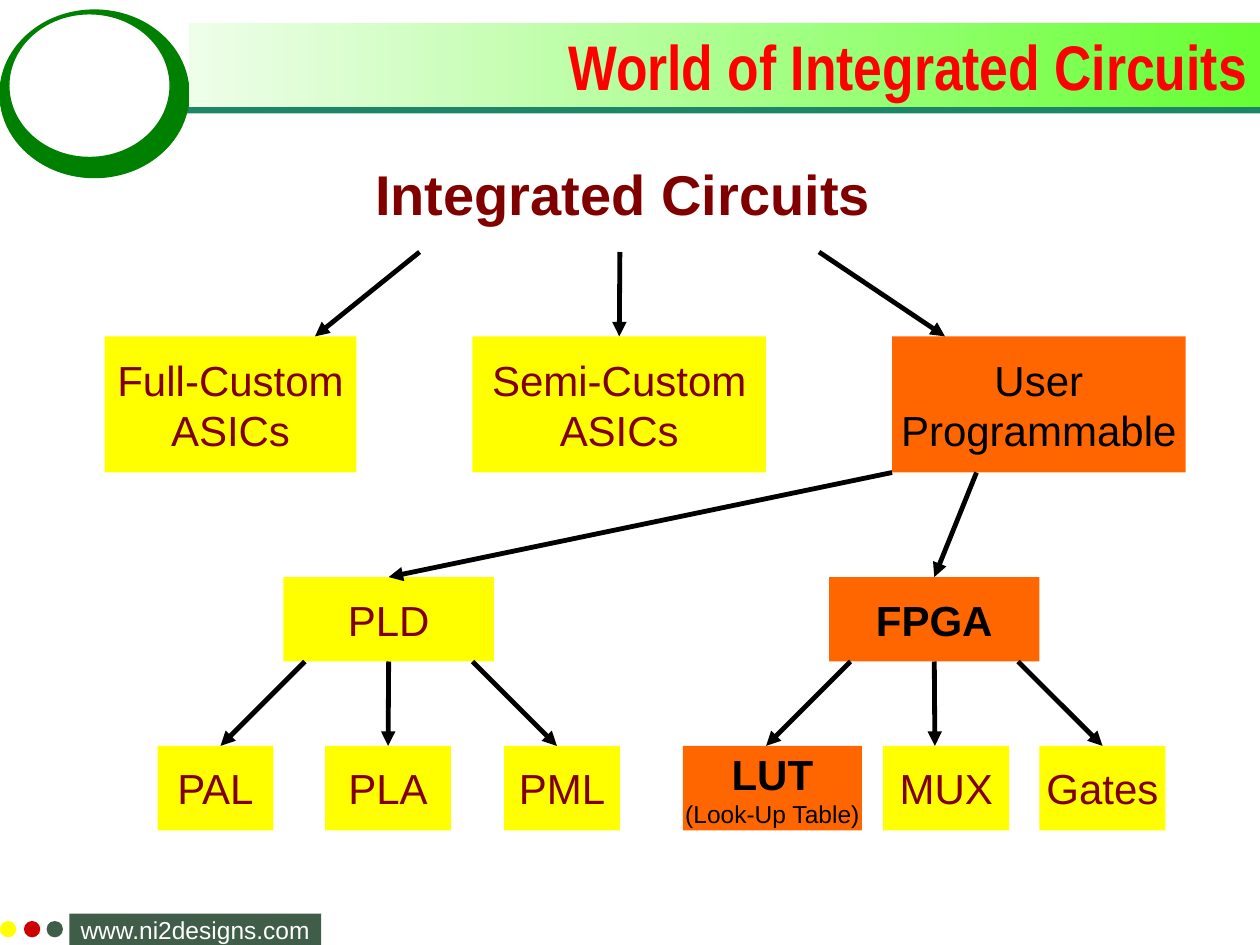
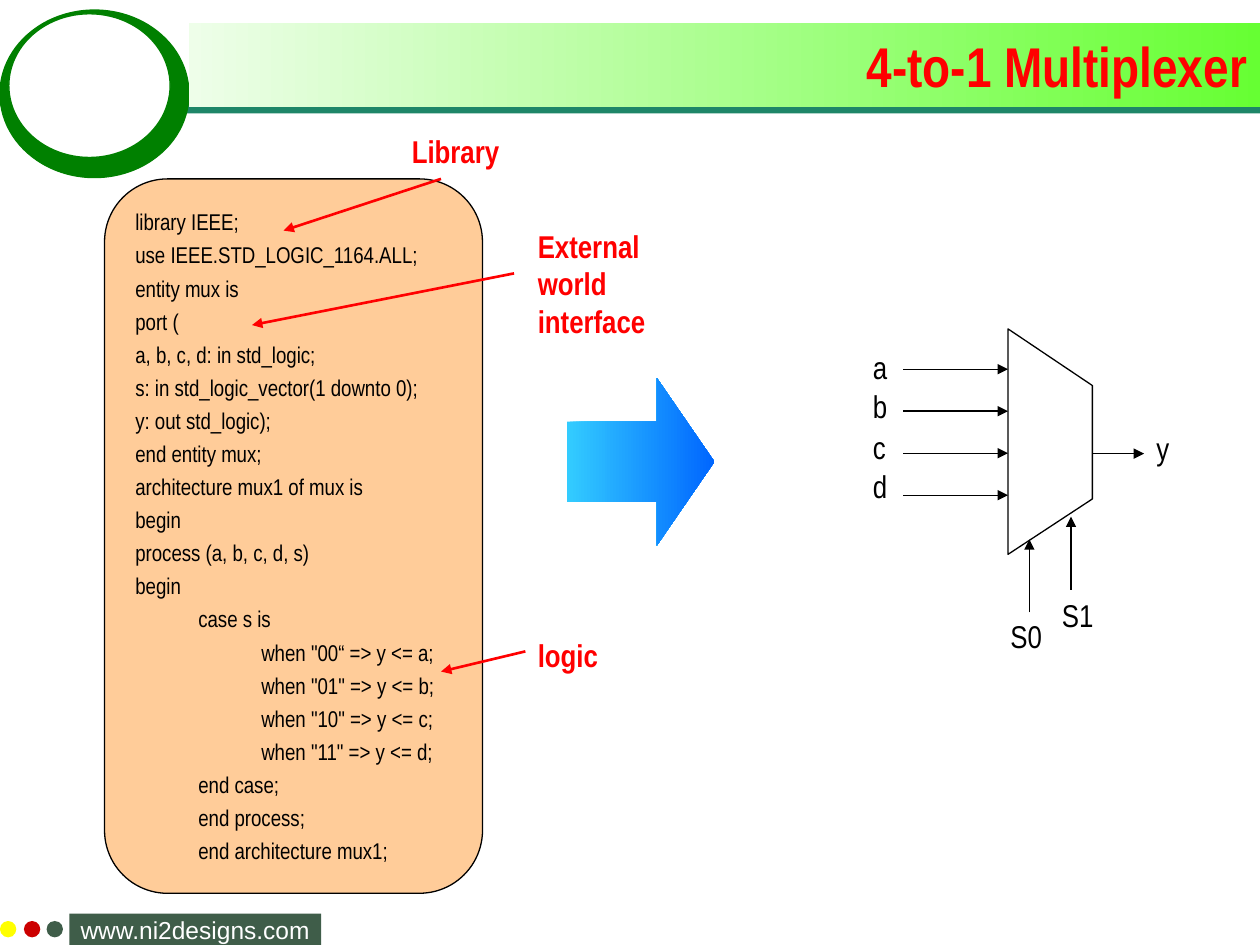
"""Build two slides on integrated circuits and a 4-to-1 multiplexer."""
from dataclasses import dataclass

from lxml.etree import SubElement
from pptx import Presentation
from pptx.dml.color import RGBColor
from pptx.enum.shapes import MSO_CONNECTOR, MSO_SHAPE
from pptx.enum.text import MSO_ANCHOR, PP_ALIGN
from pptx.oxml.ns import qn
from pptx.util import Inches, Pt


@dataclass(frozen=True)
class Theme:
    sans: str = "Arial"
    narrow: str = "Arial Narrow"
    black: str = "000000"
    white: str = "FFFFFF"
    red: str = "FF0000"
    maroon: str = "800000"
    yellow: str = "FFFF00"
    orange: str = "FF6600"
    peach: str = "FFCC99"
    ring: str = "008000"
    rule: str = "1E8668"
    footer: str = "3F5D49"
    dot_red: str = "CC0000"
    band: tuple = ("EEFEE9", "66FF33")
    flow: tuple = ("33CCFF", "0066FF")
    heading: int = 32
    node: int = 24
    label: int = 18
    small: int = 14
    code: int = 13


theme = Theme()


def add_block(slide, kind, box, fill=None, line=None, text="", size=theme.node,
              color=theme.black, bold=False, font=theme.sans,
              align=PP_ALIGN.CENTER, anchor=MSO_ANCHOR.MIDDLE, wrap=False):
    block = slide.shapes.add_shape(kind, *map(Inches, box))
    block.shadow.inherit = False
    if fill is None:
        block.fill.background()
    elif isinstance(fill, tuple):
        block.fill.gradient()
        block.fill.gradient_angle = 0
        for stop, shade in zip(block.fill.gradient_stops, fill):
            stop.color.rgb = RGBColor.from_string(shade)
    else:
        block.fill.solid()
        block.fill.fore_color.rgb = RGBColor.from_string(fill)
    if line:
        block.line.color.rgb = RGBColor.from_string(line)
        block.line.width = Pt(0.75)
    else:
        block.line.fill.background()
    if text:
        frame = block.text_frame
        frame.text = text
        frame.word_wrap = wrap
        frame.vertical_anchor = anchor
        for paragraph in frame.paragraphs:
            paragraph.alignment = align
            paragraph.font.size = Pt(size)
            paragraph.font.bold = bold
            paragraph.font.name = font
            paragraph.font.color.rgb = RGBColor.from_string(color)
    return block


def add_arrow(slide, start, end, width, color=theme.black, source=None, target=None):
    arrow = slide.shapes.add_connector(
        MSO_CONNECTOR.STRAIGHT, *map(Inches, (*start, *end)))
    if source:
        arrow.begin_connect(source, 2)
    if target:
        arrow.end_connect(target, 0)
    arrow.line.color.rgb = RGBColor.from_string(color)
    arrow.line.width = Pt(width)
    SubElement(arrow.line._get_or_add_ln(), qn("a:tailEnd"), type="triangle")
    SubElement(arrow._element.spPr, qn("a:effectLst"))


presentation = Presentation()
presentation.slide_width = Inches(10)
presentation.slide_height = Inches(7.5)

for title, title_size in (("World of Integrated Circuits", 36), ("4-to-1 Multiplexer", 32)):
    slide = presentation.slides.add_slide(presentation.slide_layouts[6])
    add_block(slide, MSO_SHAPE.RECTANGLE, (0.55, 7.25, 2, 0.25), theme.footer,
              text="www.ni2designs.com", size=theme.small, color=theme.white)
    for left, dot_color in ((0.37, theme.footer), (0.19, theme.dot_red), (0, theme.yellow)):
        add_block(slide, MSO_SHAPE.OVAL, (left, 7.31, 0.13, 0.13), dot_color)
    add_block(slide, MSO_SHAPE.RECTANGLE, (1.08, 0.82, 8.92, 0.08), theme.rule)
    add_block(slide, MSO_SHAPE.OVAL, (0, 0.08, 1.5, 1.33), theme.ring, theme.ring)
    add_block(slide, MSO_SHAPE.OVAL, (0.07, 0.11, 1.28, 1.14), theme.white, theme.ring)
    add_block(slide, MSO_SHAPE.RECTANGLE, (1.5, 0.18, 8.5, 0.67), theme.band,
              text=title, size=title_size, color=theme.red, bold=True,
              font=theme.narrow, align=PP_ALIGN.RIGHT, wrap=True)

circuits, multiplexer = presentation.slides

add_block(circuits, MSO_SHAPE.RECTANGLE, (2.88, 1.21, 4.13, 0.64),
          text="Integrated Circuits", size=theme.heading, color=theme.maroon, bold=True)

family_row, device_row, cell_row = (2.67, 1.08), (4.58, 0.67), (5.92, 0.67)
nodes = {}
for text, left, width, (top, height), chosen, bold in (
    ("Full-Custom\nASICs", 0.83, 2, family_row, False, False),
    ("Semi-Custom\nASICs", 3.75, 2.33, family_row, False, False),
    ("User\nProgrammable", 7.08, 2.33, family_row, True, False),
    ("PLD", 2.25, 1.67, device_row, False, False),
    ("FPGA", 6.58, 1.67, device_row, True, True),
    ("PAL", 1.25, 0.92, cell_row, False, False),
    ("PLA", 2.58, 1, cell_row, False, False),
    ("PML", 4, 0.92, cell_row, False, False),
    ("LUT\n(Look-Up Table)", 5.42, 1.42, cell_row, True, True),
    ("MUX", 7.01, 1, cell_row, False, False),
    ("Gates", 8.25, 1, cell_row, False, False),
):
    nodes[text.split("\n")[0]] = add_block(
        circuits, MSO_SHAPE.RECTANGLE, (left, top, width, height),
        theme.orange if chosen else theme.yellow, text=text, bold=bold,
        color=theme.black if chosen else theme.maroon)

lut_note = nodes["LUT"].text_frame.paragraphs[1]
lut_note.font.size = Pt(theme.small)
lut_note.font.bold = False

for start, end, source, target in (
    ((3.33, 2), (2.5, 2.67), None, None),
    ((4.92, 2), (4.92, 2.67), None, "Semi-Custom"),
    ((6.5, 2), (7.5, 2.67), None, None),
    ((7.08, 3.75), (3.08, 4.58), None, "PLD"),
    ((7.75, 3.75), (7.42, 4.58), None, "FPGA"),
    ((3.08, 5.25), (3.08, 5.92), "PLD", "PLA"),
    ((2.42, 5.25), (1.75, 5.92), None, None),
    ((3.75, 5.25), (4.42, 5.92), None, None),
    ((7.42, 5.25), (7.42, 5.92), "FPGA", None),
    ((6.75, 5.25), (6.08, 5.92), None, None),
    ((8.08, 5.25), (8.75, 5.92), None, "Gates"),
):
    add_arrow(circuits, start, end, 2.75, source=nodes.get(source), target=nodes.get(target))

vhdl_lines = (
    (0, "library IEEE;"),
    (0, "use IEEE.STD_LOGIC_1164.ALL;"),
    (0, "entity mux is"),
    (0, "port ("),
    (0, "a, b, c, d: in std_logic;"),
    (0, "s: in std_logic_vector(1 downto 0);"),
    (0, "y: out std_logic);"),
    (0, "end entity mux;"),
    (0, "architecture mux1 of mux is"),
    (0, "begin"),
    (0, "process (a, b, c, d, s)"),
    (0, "begin"),
    (1, "case s is"),
    (2, 'when "00“ => y <= a;'),
    (2, 'when "01" => y <= b;'),
    (2, 'when "10" => y <= c;'),
    (2, 'when "11" => y <= d;'),
    (1, "end case;"),
    (1, "end process;"),
    (1, "end architecture mux1;"),
)
vhdl = add_block(multiplexer, MSO_SHAPE.ROUNDED_RECTANGLE, (0.83, 1.42, 3, 5.67),
                 theme.peach, theme.black, "\n".join(text for _, text in vhdl_lines),
                 theme.code, font=theme.narrow, align=PP_ALIGN.LEFT, wrap=True)
for number, (depth, _) in enumerate(vhdl_lines):
    statement = vhdl.text_frame.paragraphs[number]
    statement._p.get_or_add_pPr().set("marL", str(Inches(0.5 * depth)))
    if number:
        statement.space_before = Pt(3.3)

outline = multiplexer.shapes.build_freeform(Inches(8), Inches(4.4), scale=1.0)
outline.add_line_segments(
    [(Inches(x), Inches(y)) for x, y in ((8, 2.61), (8.67, 3.06), (8.67, 3.96))], close=True)
mux_body = outline.convert_to_shape()
mux_body.shadow.inherit = False
mux_body.fill.background()
mux_body.line.color.rgb = RGBColor.from_string(theme.black)
mux_body.line.width = Pt(0.75)

input_levels = [2.93 + step / 3 for step in range(4)]
for start, end in (
    *(((7.17, level), (8, level)) for level in input_levels),
    ((8.17, 4.86), (8.17, 4.28)),
    ((8.5, 4.68), (8.5, 4.1)),
    ((8.67, 3.6), (9.08, 3.6)),
):
    add_arrow(multiplexer, start, end, 0.75)

for text, left, top, width, height, color in (
    ("a", 6.83, 2.71, 0.42, 0.4, theme.black),
    ("b", 6.83, 3.02, 0.42, 0.4, theme.black),
    ("c", 6.83, 3.35, 0.42, 0.4, theme.black),
    ("d", 6.83, 3.66, 0.42, 0.4, theme.black),
    ("S0", 7.92, 4.85, 0.58, 0.4, theme.black),
    ("S1", 8.33, 4.68, 0.58, 0.4, theme.black),
    ("y", 9.08, 3.36, 0.58, 0.4, theme.black),
    ("Library", 3.17, 1, 1.33, 0.4, theme.red),
    ("External world interface", 4.17, 1.75, 1.33, 1, theme.red),
    ("logic", 4.17, 5, 1.33, 0.4, theme.red),
):
    add_block(multiplexer, MSO_SHAPE.RECTANGLE, (left, top, width, height), text=text,
              size=theme.label, color=color, bold=color == theme.red, font=theme.narrow,
              align=PP_ALIGN.LEFT, anchor=MSO_ANCHOR.TOP, wrap=True)

for start, end in (
    ((3.5, 1.42), (2.25, 1.83)),
    ((4.08, 2.17), (2, 2.58)),
    ((4.17, 5.17), (3.5, 5.33)),
):
    add_arrow(multiplexer, start, end, 1.5, theme.red)

synthesis = add_block(multiplexer, MSO_SHAPE.RIGHT_ARROW, (4.5, 3, 1.17, 1.33), theme.flow)
synthesis.adjustments[0] = 0.48
synthesis.adjustments[1] = 0.39

presentation.save("out.pptx")
